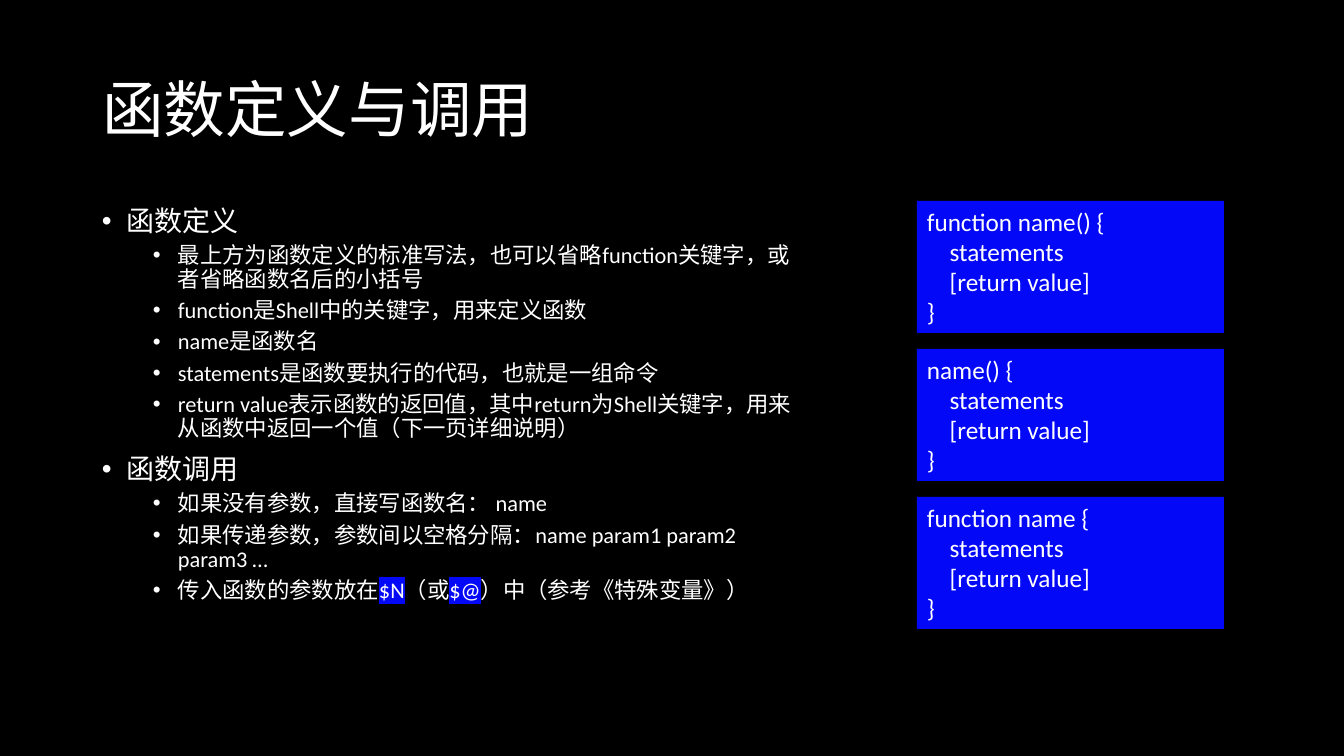
from lxml import etree
from pptx import Presentation
from pptx.dml.color import RGBColor
from pptx.enum.shapes import MSO_SHAPE
from pptx.enum.text import MSO_ANCHOR, MSO_AUTO_SIZE, PP_ALIGN
from pptx.oxml.ns import qn
from pptx.util import Emu, Pt

RECTANGLE = MSO_SHAPE.RECTANGLE
TOP, MIDDLE = MSO_ANCHOR.TOP, MSO_ANCHOR.MIDDLE
LEFT = PP_ALIGN.LEFT
NO_FIT, GROW = MSO_AUTO_SIZE.NONE, MSO_AUTO_SIZE.SHAPE_TO_FIT_TEXT
TITLE_ONLY = 5

BLACK, WHITE, BLUE = "000000", "FFFFFF", "0309F7"

# One entry per outline level: format values and left margin in px
LEVELS = [
    {"size": 20, "space_before": 10, "margin": 25},
    {"size": 16, "space_before": 5, "margin": 76},
]
HANGING = 25

# Each paragraph is a level and its runs; a run is text and its highlight
OUTLINE = [
    (0, [("函数定义", None)]),
    (1, [("最上方为函数定义的标准写法，也可以省略function关键字，或者省略函数名后的小括号", None)]),
    (1, [("function是Shell中的关键字，用来定义函数", None)]),
    (1, [("name是函数名", None)]),
    (1, [("statements是函数要执行的代码，也就是一组命令", None)]),
    (1, [("return value表示函数的返回值，其中return为Shell关键字，"
          "用来从函数中返回一个值（下一页详细说明）", None)]),
    (0, [("函数调用", None)]),
    (1, [("如果没有参数，直接写函数名： name", None)]),
    (1, [("如果传递参数，参数间以空格分隔：name param1 param2 param3 …", None)]),
    (1, [("传入函数的参数放在", None), ("$N", BLUE), ("（或", None),
         ("$@", BLUE), ("）中（参考《特殊变量》）", None)]),
]

SIGNATURES = ["function name() {", "name() {", "function name {"]
CODE_BODY = ["    statements", "    [return value]", "}"]
CODE_LEFT, CODE_TOP, CODE_WIDTH, CODE_HEIGHT = 917, 201, 307, 132
CODE_PITCH = 148


def px(length):
    return Emu(round(length * 914400 / 100.8))


def color(hex_string):
    return RGBColor.from_string(hex_string)


def set_attributes(target, values):
    for name, value in values.items():
        setattr(target, name, value)


class SlideBuilder:
    def __init__(self, presentation, font_name, text_color, background):
        self.font_name = font_name
        self.text_color = text_color
        self.slide = presentation.slides.add_slide(
            presentation.slide_layouts[TITLE_ONLY])
        fill = self.slide.background.fill
        fill.solid()
        fill.fore_color.rgb = color(background)

    def add_run(self, paragraph, text, size, highlight=None):
        run = paragraph.add_run()
        run.text = text
        if highlight:
            properties = run.font._element
            mark = etree.SubElement(properties, qn("a:highlight"))
            etree.SubElement(mark, qn("a:srgbClr"), val=highlight)
        set_attributes(run.font, {"name": self.font_name, "size": Pt(size)})
        run.font.color.rgb = color(self.text_color)

    def add_title(self, text, left, top, width, height, size):
        title = self.slide.shapes.title
        set_attributes(title, {"left": px(left), "top": px(top),
                               "width": px(width), "height": px(height)})
        set_attributes(title.text_frame, {"vertical_anchor": MIDDLE,
                                          "word_wrap": True,
                                          "auto_size": NO_FIT})
        paragraph = title.text_frame.paragraphs[0]
        set_attributes(paragraph, {"alignment": LEFT, "line_spacing": 0.9})
        self.add_run(paragraph, text, size)

    def add_outline(self, entries, left, top, width, height):
        box = self.slide.shapes.add_textbox(px(left), px(top), px(width), px(height))
        frame = box.text_frame
        set_attributes(frame, {"word_wrap": True, "auto_size": NO_FIT,
                               "vertical_anchor": TOP})
        for index, (level, runs) in enumerate(entries):
            style = LEVELS[level]
            paragraph = frame.add_paragraph() if index else frame.paragraphs[0]
            self.add_bullet(paragraph, style["margin"])
            space_before = Pt(style["space_before"] if index else 0)
            set_attributes(paragraph, {"level": level, "line_spacing": 0.9,
                                       "space_before": space_before})
            for text, highlight in runs:
                self.add_run(paragraph, text, style["size"], highlight)

    def add_bullet(self, paragraph, margin):
        properties = paragraph._p.get_or_add_pPr()
        properties.set("marL", str(px(margin)))
        properties.set("indent", str(-px(HANGING)))
        etree.SubElement(properties, qn("a:buFont"), typeface="Arial")
        etree.SubElement(properties, qn("a:buChar"), char="•")

    def add_code(self, lines, left, top, width, height, size):
        shape = self.slide.shapes.add_shape(
            RECTANGLE, px(left), px(top), px(width), px(height))
        shape.shadow.inherit = False
        shape.fill.solid()
        shape.fill.fore_color.rgb = color(BLUE)
        shape.line.fill.background()
        frame = shape.text_frame
        set_attributes(frame, {"word_wrap": True, "auto_size": GROW,
                               "vertical_anchor": TOP})
        for index, line in enumerate(lines):
            paragraph = frame.add_paragraph() if index else frame.paragraphs[0]
            paragraph.alignment = LEFT
            self.add_run(paragraph, line, size)


def main():
    presentation = Presentation()
    set_attributes(presentation, {"slide_width": px(1344), "slide_height": px(756)})
    builder = SlideBuilder(presentation, "Calibri", WHITE, BLACK)
    builder.add_title("函数定义与调用", 92, 40, 1159, 146, size=44)
    builder.add_outline(OUTLINE, 92, 202, 716, 480)
    for row, signature in enumerate(SIGNATURES):
        builder.add_code([signature] + CODE_BODY, CODE_LEFT,
                         CODE_TOP + row * CODE_PITCH,
                         CODE_WIDTH, CODE_HEIGHT, size=18)
    presentation.save("out.pptx")


if __name__ == "__main__":
    main()
